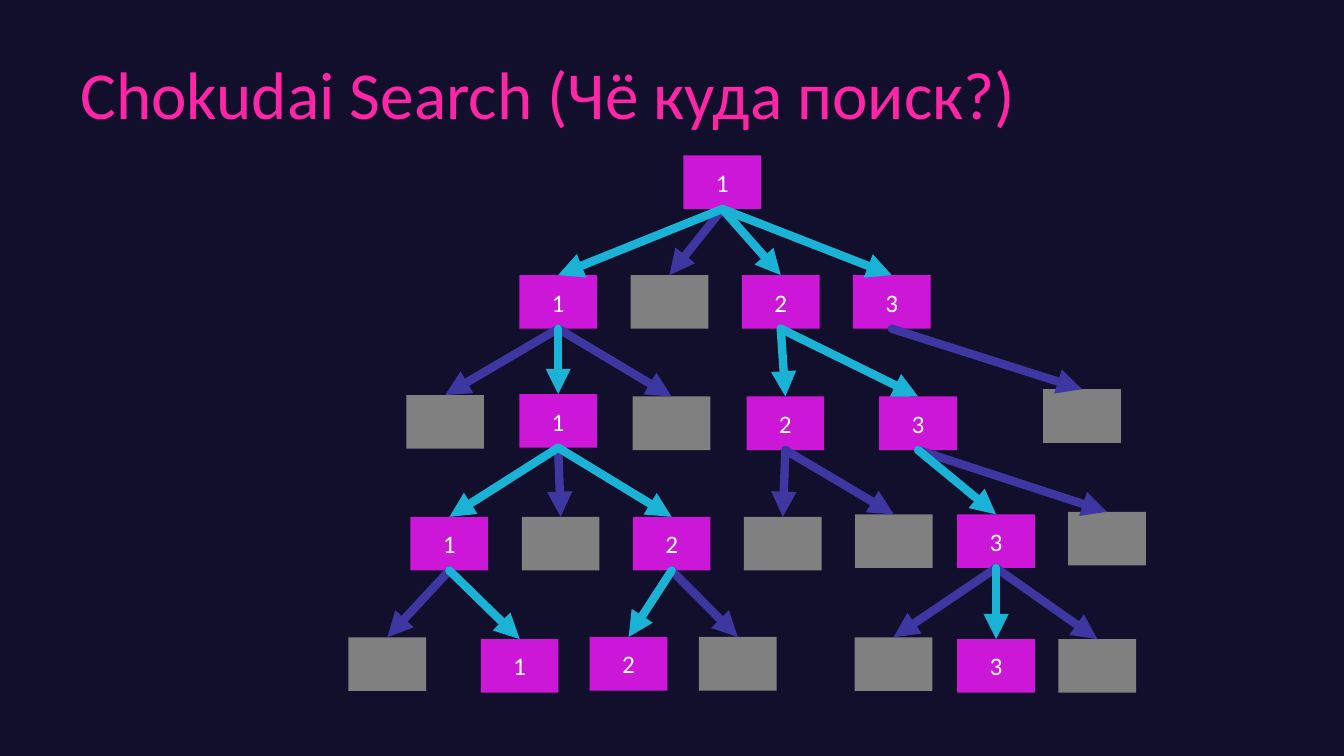
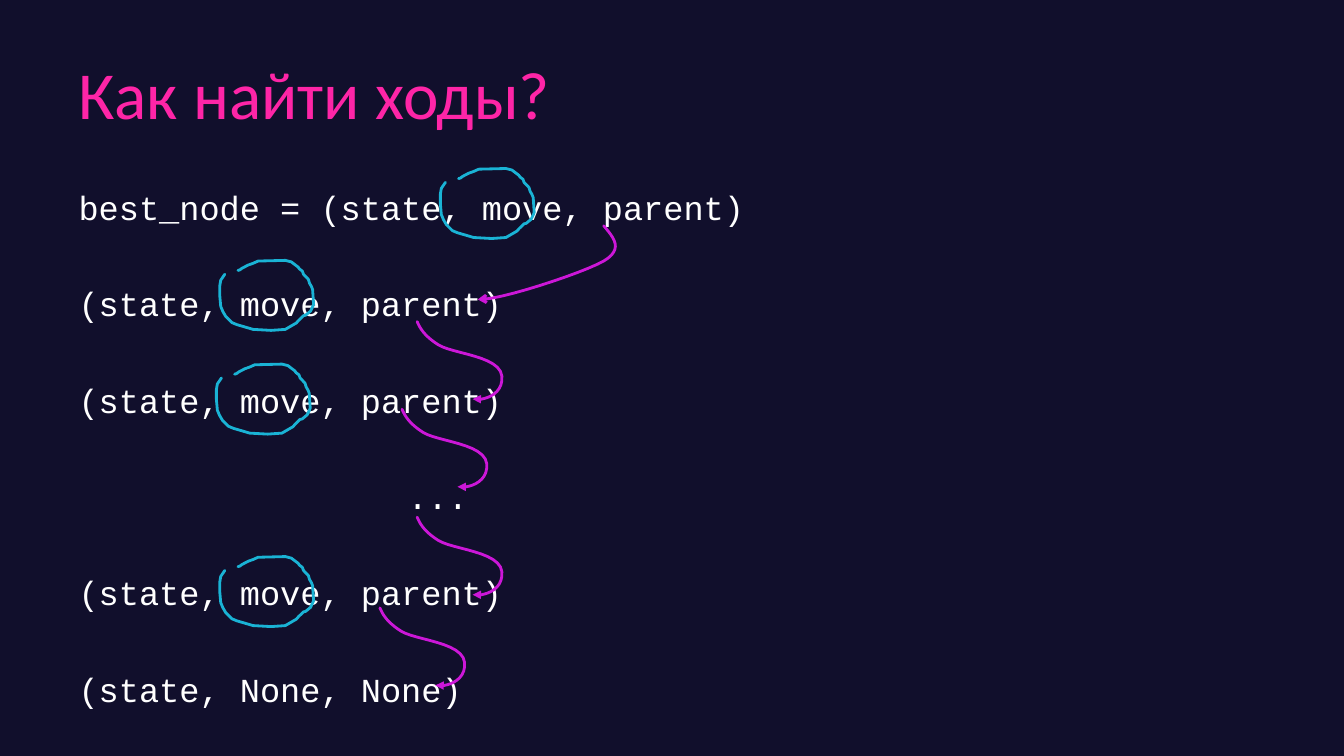
"""Build two slides on Chokudai Search: the search tree and recovering the moves."""
from pptx import Presentation
from pptx.dml.color import RGBColor
from pptx.enum.shapes import MSO_CONNECTOR as Connector, MSO_SHAPE as Shape
from pptx.enum.text import MSO_ANCHOR as Anchor, PP_ALIGN as Align
from pptx.oxml.ns import qn
from pptx.util import Pt
from lxml.etree import SubElement

COLOURS = {
    "background": "110F2C", "title": "FE25A7", "text": "FFFFFF", "visited": "CC17D8",
    "skipped": "808080", "taken": "1AB3D5", "dropped": "3E37A2",
}
RGB = {part: RGBColor.from_string(value) for part, value in COLOURS.items()}
TITLE_FONT = {"name": "Calibri", "size": Pt(48)}
NODE_FONT = {"name": "Calibri", "size": Pt(18)}
CODE_FONT = {"name": "Courier New", "size": Pt(24)}
TITLES = [("Chokudai Search (Чё куда поиск?)", 50.4), ("Как найти ходы?", 49)]


def style_stroke(stroke, colour, width, head=None):
    stroke.line.color.rgb = RGB[colour]
    stroke.line.width = Pt(width)
    properties = stroke._element.spPr
    outline = properties.find(qn("a:ln"))
    outline.set("cap", "rnd")
    SubElement(outline, qn("a:round"))
    if head:
        SubElement(outline, qn("a:tailEnd"), type=head)
    SubElement(properties, qn("a:effectLst"))


def trace_path(slide, origin, points, colour, head=None):
    left, top = origin
    placed = [(Pt(left + x), Pt(top + y)) for x, y in points]
    builder = slide.shapes.build_freeform(*placed[0], scale=1.0)
    builder.add_line_segments(placed[1:], close=False)
    path = builder.convert_to_shape()
    path.fill.background()
    style_stroke(path, colour, 2, head)


deck = Presentation()
deck.slide_width, deck.slide_height = Pt(960), Pt(540)
slides = []
for title, left in TITLES:
    slide = deck.slides.add_slide(deck.slide_layouts[6])
    slide.background.fill.solid()
    slide.background.fill.fore_color.rgb = RGB["background"]
    heading = slide.shapes.add_textbox(Pt(left), Pt(21.6), Pt(865), Pt(89.3)).text_frame
    heading.word_wrap = True
    heading.vertical_anchor = Anchor.MIDDLE
    heading.text = title
    font = heading.paragraphs[0].runs[0].font
    font.color.rgb = RGB["title"]
    for attribute, value in TITLE_FONT.items():
        setattr(font, attribute, value)
    slides.append(slide)
tree_slide, moves_slide = slides

NODE_WIDTH, NODE_HEIGHT = 55.5, 38.3
# fmt: off
NODES = [
    (516, 111, "1", None),
    (398.7, 196.5, "1", 0), (478.2, 196.5, "", 0), (557.7, 196.5, "2", 0), (637, 196.5, "3", 0),
    (318, 282.2, "", 1), (398.7, 281.5, "1", 1), (479.7, 283.2, "", 1),
    (561, 283.2, "2", 3), (655.8, 283.2, "3", 3), (772.9, 278, "", 4),
    (321, 369.2, "1", 6), (400.5, 369.2, "", 6), (479.8, 369.2, "2", 6),
    (559.2, 369.2, "", 8), (638.5, 367.4, "", 8), (711.5, 367.4, "3", 9), (790.8, 365.6, "", 9),
    (276.7, 455.2, "", 11), (371.2, 456.5, "1", 11), (449, 455, "2", 13), (527, 455, "", 13),
    (638.3, 455.2, "", 16), (711.5, 456.5, "3", 16), (783.8, 456.5, "", 16),
]
boxes = []
for centre, top, label, parent in NODES:
    box = tree_slide.shapes.add_shape(
        Shape.RECTANGLE, Pt(centre - NODE_WIDTH / 2), Pt(top), Pt(NODE_WIDTH), Pt(NODE_HEIGHT))
    box.shadow.inherit = False
    box.fill.solid()
    box.fill.fore_color.rgb = RGB["visited" if label else "skipped"]
    box.line.fill.background()
    if label:
        box.text_frame.text = label
        box.text_frame.vertical_anchor = Anchor.MIDDLE
        paragraph = box.text_frame.paragraphs[0]
        paragraph.alignment = Align.CENTER
        font = paragraph.runs[0].font
        font.color.rgb = RGB["text"]
        for attribute, value in NODE_FONT.items():
            setattr(font, attribute, value)
    boxes.append(box)

BOX_TOP, BOX_BOTTOM = 0, 2
for colour in ("dropped", "taken"):
    for box, (centre, top, label, parent) in zip(boxes, NODES):
        if parent is not None and colour == ("taken" if label else "dropped"):
            branch = tree_slide.shapes.add_connector(Connector.STRAIGHT, 0, 0, 0, 0)
            branch.begin_connect(boxes[parent], BOX_BOTTOM)
            branch.end_connect(box, BOX_TOP)
            style_stroke(branch, colour, 6, "triangle")

CODE_LINES = [
    "best_node = (state, move, parent)", "(state, move, parent)", "(state, move, parent)",
    "...", "(state, move, parent)", "(state, None, None)",
]
code = moves_slide.shapes.add_textbox(Pt(49), Pt(130), Pt(865), Pt(357)).text_frame
code.word_wrap = True
for index, line in enumerate(CODE_LINES):
    paragraph = code.paragraphs[0] if index == 0 else code.add_paragraph()
    paragraph.space_before = Pt(40 if index else 0)
    run = paragraph.add_run()
    run.text = line
    run.font.color.rgb = RGB["text"]
    for attribute, value in CODE_FONT.items():
        setattr(run.font, attribute, value)
    if line == "...":
        paragraph._p.get_or_add_pPr().set("marL", str(Pt(235)))

LONG_CURVE = [
    [(0, 0), (7.2, 8.6), (14.4, 16.6), (0, 25.2)],
    [(0, 25.2), (-15.1, 33.8), (-76.3, 54), (-90, 52.6)],
]
SHORT_CURVE = [
    [(0, 0), (2.2, 5), (5, 10.1), (15.1, 16.6)],
    [(15.1, 16.6), (25.2, 23), (59, 24.5), (60.5, 38.9)],
    [(60.5, 38.9), (61.9, 53.3), (45.4, 56.9), (39.6, 55.4)],
]
PARENT_ARROWS = [
    ((431.3, 161.3), LONG_CURVE, "arrow"),
    ((298, 229.7), SHORT_CURVE, "triangle"), ((287.2, 292.3), SHORT_CURVE, "triangle"),
    ((298, 369.4), SHORT_CURVE, "triangle"), ((271.4, 434.2), SHORT_CURVE, "triangle"),
]
STEPS = 12
for origin, curve, head in PARENT_ARROWS:
    points = [curve[0][0]]
    for controls in curve:
        for step in range(1, STEPS + 1):
            t = step / STEPS
            weights = ((1 - t) ** 3, 3 * t * (1 - t) ** 2, 3 * t ** 2 * (1 - t), t ** 3)
            points.append([sum(w * v for w, v in zip(weights, axis)) for axis in zip(*controls)])
    trace_path(moves_slide, origin, points, "visited", head)

MOVE_RING = [
    (3.6, 10.1), (0.7, 14.4), (0, 18.4), (0, 25.5), (0.7, 33.1), (2.2, 36.7), (4.3, 40.3),
    (8.6, 44.6), (12.2, 46.1), (19.4, 48.2), (23.8, 49.5), (36.7, 50.2), (46.8, 49.5),
    (54.7, 44.9), (56.2, 43.2), (59.8, 39.7), (61.3, 39.4), (64.8, 36.5), (66.4, 33.3),
    (67, 31.5), (66.3, 21), (65.4, 18.7), (64.1, 16.5), (63.3, 13.8), (59.8, 10.1),
    (59, 7.9), (56.9, 6.3), (56, 5), (51.1, 1.3), (46.8, 0.2), (27.4, 0.7), (23.8, 2.3),
    (20.2, 3.6), (15.8, 5.9), (14.4, 7), (13, 7.4),
]
for origin in [(314.6, 120.2), (157, 185.8), (154.6, 259.9), (157, 397.4)]:
    trace_path(moves_slide, origin, MOVE_RING, "taken")

deck.save("out.pptx")
